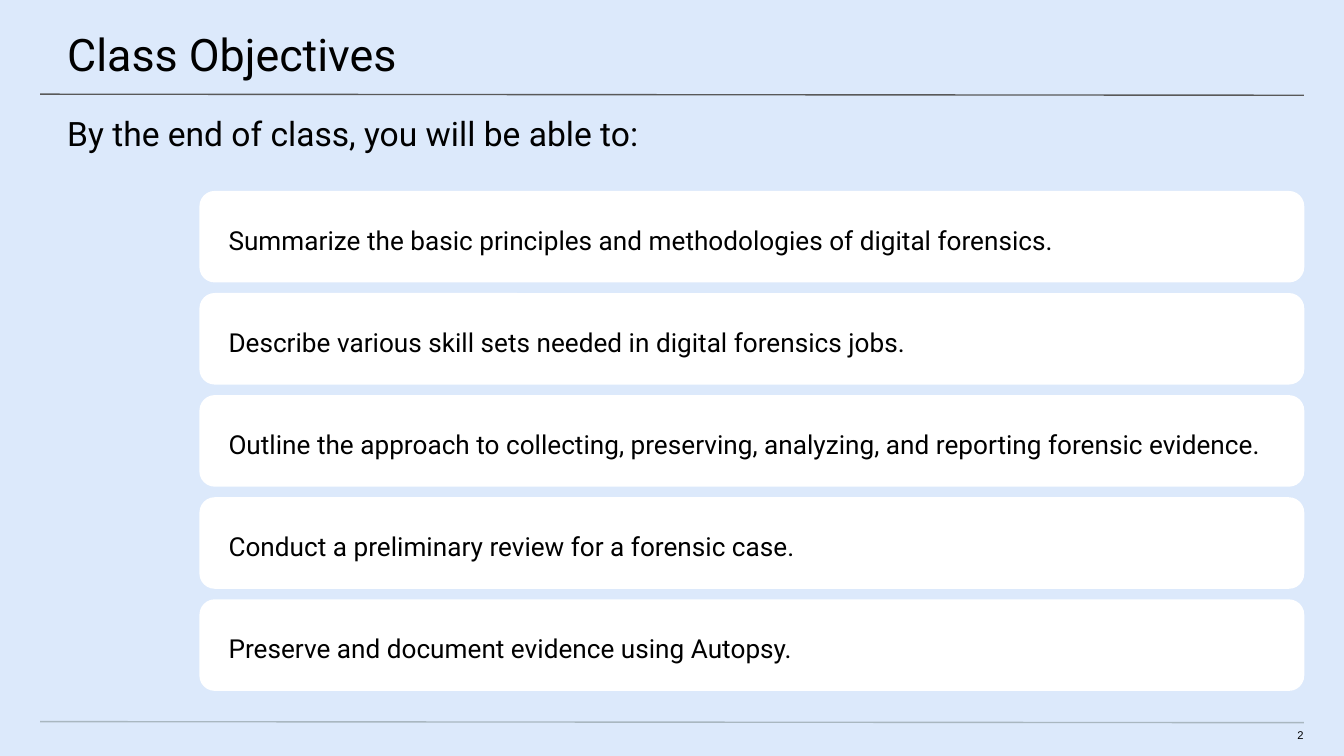
from lxml import etree
from pptx import Presentation
from pptx import util as u
from pptx.dml.color import RGBColor
from pptx.enum import shapes, text
from pptx.oxml.ns import qn

Cm, Pt = u.Cm, u.Pt
COLORS = {"bg": "DCE9FB", "card": "FFFFFF", "ink": "000000",
          "top_rule": "595959", "bottom_rule": "A9B7C0"}
OBJECTIVES = [
    "Summarize the basic principles and methodologies of digital forensics.",
    "Describe various skill sets needed in digital forensics jobs.",
    "Outline the approach to collecting, preserving, analyzing, and reporting forensic evidence.",
    "Conduct a preliminary review for a forensic case.",
    "Preserve and document evidence using Autopsy.",
]


def color(name):
    return RGBColor.from_string(COLORS[name])


def set_attrs(obj, values):
    for name, value in values.items():
        setattr(obj, name, value)


def place(sp, box):
    set_attrs(sp, dict(zip(("left", "top", "width", "height"), map(Cm, box))))


def write(sp, words, insets, size, font="Roboto", anchor=text.MSO_ANCHOR.TOP,
          align=text.PP_ALIGN.LEFT, spacing=1.0):
    tf = sp.text_frame
    sides = ("margin_left", "margin_top", "margin_right", "margin_bottom")
    set_attrs(tf, dict(zip(sides, map(Cm, insets))))
    set_attrs(tf, {"word_wrap": True, "auto_size": text.MSO_AUTO_SIZE.NONE,
                   "vertical_anchor": anchor})
    p = tf.paragraphs[0]
    set_attrs(p, {"alignment": align, "line_spacing": spacing, "space_before": Pt(0)})
    r = p.add_run()
    r.text = words
    set_attrs(r.font, {"name": font, "size": Pt(size)})
    r.font.color.rgb = color("ink")


def add_rule(s, box, name):
    x, y, w, h = box
    line = s.shapes.add_connector(shapes.MSO_CONNECTOR.STRAIGHT,
                                  Cm(x), Cm(y), Cm(x + w), Cm(y + h))
    line.line.color.rgb = color(name)
    line.line.width = Pt(0.75)
    etree.SubElement(line._element.spPr, qn("a:effectLst"))


def add_header(s, box):
    x, y, w, h = box
    title, lead = s.shapes.title, s.placeholders[1]
    place(title, (x, y, w, 1.47))
    write(title, "Class Objectives", (1.27, 0.51, 0.76, 0.25), 24)
    place(lead, (x, y + 1.88, w, h - 1.88))
    write(lead, "By the end of class, you will be able to:", (1.27, 0.25, 1.27, 0), 18)
    add_rule(s, (x + 0.76, y + 1.78, w - 1.52, 0.02), "top_rule")


def add_objectives(s, box):
    x, y, w, h = box
    card_h = 1.73
    pitch = (h - card_h) / (len(OBJECTIVES) - 1)
    for i, words in enumerate(OBJECTIVES):
        top = y + i * pitch
        card = s.shapes.add_shape(shapes.MSO_SHAPE.ROUNDED_RECTANGLE, 0, 0, 0, 0)
        place(card, (x + 3.77, top, w - 4.52, card_h))
        card.adjustments[0] = 0.167
        card.shadow.inherit = False
        card.fill.solid()
        card.fill.fore_color.rgb = color("card")
        card.line.fill.background()
        label = s.shapes.add_textbox(0, 0, 0, 0)
        place(label, (x, top + 0.04, w, card_h - 0.05))
        write(label, words, (4.32, 0, 1.27, 0), 14,
              anchor=text.MSO_ANCHOR.MIDDLE, spacing=1.15)


def add_footer(s, box):
    x, y, w, h = box
    add_rule(s, (x, y, w, 0.02), "bottom_rule")
    number = s.shapes.add_textbox(0, 0, 0, 0)
    place(number, (x + w - 0.74, y + 0.13, 0.74, h - 0.13))
    write(number, "2", (0, 0, 0, 0.25), 6, font="Arial", align=text.PP_ALIGN.RIGHT)


def main():
    prs = Presentation()
    set_attrs(prs, {"slide_width": Cm(25.4), "slide_height": Cm(14.29)})
    s = prs.slides.add_slide(prs.slide_layouts[0])
    s.background.fill.solid()
    s.background.fill.fore_color.rgb = color("bg")
    add_header(s, (0, 0, 25.4, 2.9))
    add_objectives(s, (0, 3.61, 25.4, 9.45))
    add_footer(s, (0.76, 13.64, 23.88, 0.43))
    prs.save("out.pptx")


if __name__ == "__main__":
    main()
